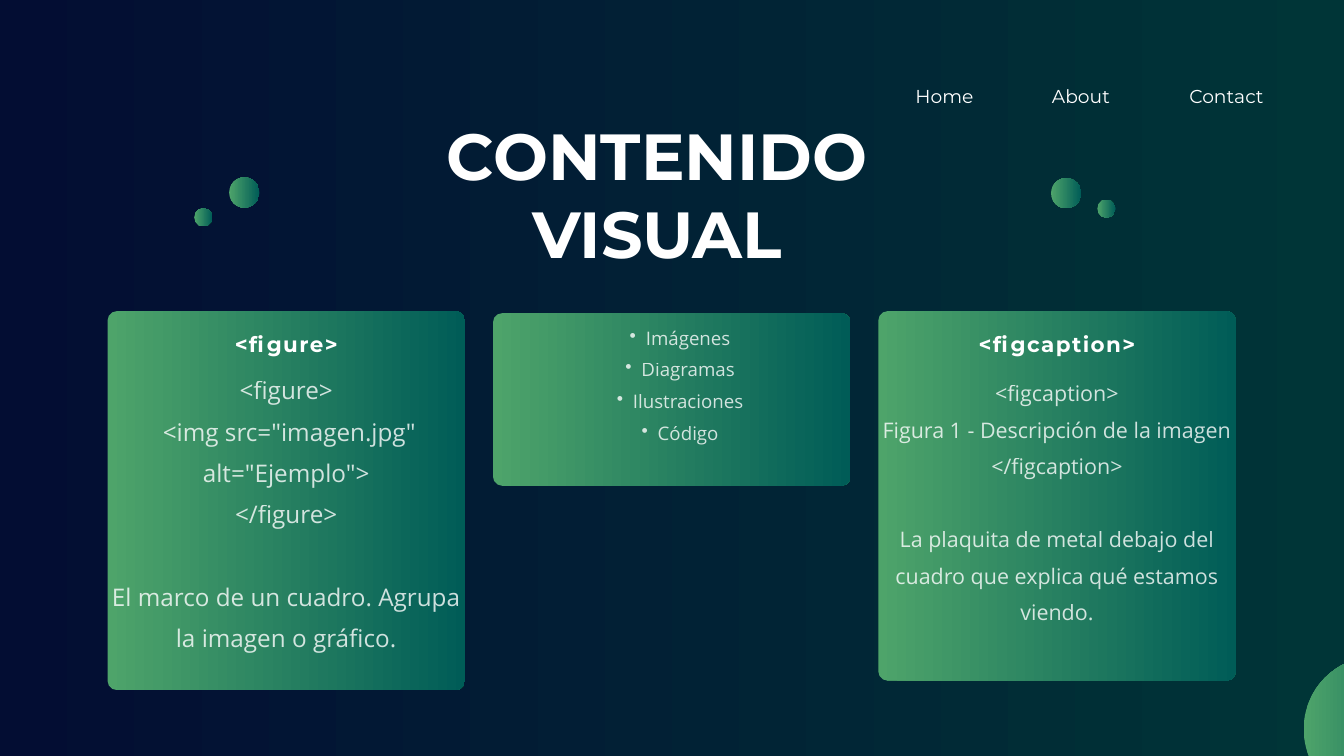
from lxml import etree
from pptx import Presentation
from pptx.dml.color import RGBColor
from pptx.enum import shapes, text
from pptx.oxml.ns import qn
from pptx.util import Inches, Pt

COLORS = {"navy": "030D33", "forest": "003537", "leaf": "4EA46A",
          "teal": "005C57", "white": "FFFFFF"}
HEAD_FONT, BODY_FONT = "Montserrat", "Open Sans"
LEADING = 1.7  # line pitch of body text, in text sizes
RADIUS = 0.14

MENU = [("Home", 13.55, 1.01), ("About", 15.58, 1.01), ("Contact", 17.62, 1.26)]
TITLE = ["CONTENIDO", "VISUAL"]
BULLETS = ["Imágenes", "Diagramas", "Ilustraciones", "Código"]
CARD_LEFT, CARD_WIDTH, CARD_STEP = 1.6, 5.32, 5.735
CARDS = [  # top, height
    (4.63, 5.64),
    (4.66, 2.57),
    (4.63, 5.5),
]
TAGS = [
    {"column": 0, "heading": "<figure>", "heading_width": 3.75,
     "top": 5.41, "height": 4.19, "size": 26,
     "code": ["<figure>", ' <img src="imagen.jpg" alt="Ejemplo">', "</figure>"],
     "note": "El marco de un cuadro. Agrupa la imagen o gráfico."},
    {"column": 2, "heading": "<figcaption>", "heading_width": 4.15,
     "top": 5.5, "height": 3.76, "size": 23,
     "code": ["<figcaption>", "Figura 1 - Descripción de la imagen", "</figcaption>"],
     "note": "La plaquita de metal debajo del cuadro que explica qué estamos viendo."},
]
DOTS = [  # left, top, diameter
    (2.89, 3.1, 0.27), (16.33, 2.97, 0.27), (3.41, 2.64, 0.45),
    (15.64, 2.65, 0.45), (19.4, 9.77, 2.16),
]


def rgb(name):
    return RGBColor.from_string(COLORS[name])


def fill_gradient(fill, start, end):
    fill.gradient()
    fill.gradient_angle = 0
    for stop, name in zip(fill.gradient_stops, (start, end)):
        stop.color.rgb = rgb(name)


def add_panel(page, kind, left, top, width, height):
    panel = page.shapes.add_shape(kind, *map(Inches, (left, top, width, height)))
    panel.shadow.inherit = False
    panel.line.fill.background()
    fill_gradient(panel.fill, "leaf", "teal")
    return panel


def add_bullet(para):
    para.level = 1
    props = para._p.get_or_add_pPr()
    props.set("marL", str(Inches(0.47)))
    props.set("indent", str(Inches(-0.24)))
    etree.SubElement(props, qn("a:buChar")).set("char", "•")


def add_text(page, lines, left, top, width, height, size, pitch,
             font=HEAD_FONT, bold=False, spacing=0, opacity=100, bullets=False):
    """Add centred lines of text, with pitch as exact line spacing in points."""
    box = page.shapes.add_textbox(*map(Inches, (left, top, width, height)))
    frame = box.text_frame
    frame.margin_left = frame.margin_right = frame.margin_top = frame.margin_bottom = 0
    frame.text = "\n".join(lines)
    frame.word_wrap = True
    frame.auto_size = text.MSO_AUTO_SIZE.SHAPE_TO_FIT_TEXT
    for para in frame.paragraphs:
        if bullets:
            add_bullet(para)
        para.alignment = text.PP_ALIGN.CENTER
        para.line_spacing = Pt(pitch)
        for span in para.runs:
            span.font.name = font
            span.font.size = Pt(size)
            span.font.bold = bold
            span.font.color.rgb = rgb("white")
            props = span._r.get_or_add_rPr()
            if spacing:
                props.set("spc", str(int(spacing * 100)))
            if opacity < 100:
                color = props.find(".//" + qn("a:srgbClr"))
                etree.SubElement(color, qn("a:alpha")).set("val", str(opacity * 1000))
    return frame


def add_body(page, lines, left, top, width, height, size, bullets=False):
    return add_text(page, lines, left, top, width, height, size, size * LEADING,
                    font=BODY_FONT, opacity=80, bullets=bullets)


def main():
    deck = Presentation()
    deck.slide_width, deck.slide_height = Inches(20), Inches(11.25)
    page = deck.slides.add_slide(deck.slide_layouts[6])
    fill_gradient(page.background.fill, "navy", "forest")

    for column, (top, height) in enumerate(CARDS):
        card = add_panel(page, shapes.MSO_SHAPE.ROUNDED_RECTANGLE,
                         CARD_LEFT + column * CARD_STEP, top, CARD_WIDTH, height)
        card.adjustments[0] = RADIUS / min(CARD_WIDTH, height)
    for left, top, diameter in DOTS:
        add_panel(page, shapes.MSO_SHAPE.OVAL, left, top, diameter, diameter)

    for label, left, width in MENU:
        add_text(page, [label], left, 1.21, width, 0.36, 20, 28)
    add_text(page, TITLE, 2.89, 1.72, 13.78, 2.31, 69.8, 83.8, bold=True)

    for tag in TAGS:
        left = CARD_LEFT + tag["column"] * CARD_STEP
        width = tag["heading_width"]
        add_text(page, [tag["heading"]], left + (CARD_WIDTH - width) / 2, 4.86,
                 width, 0.43, 23, 32.2, bold=True, spacing=1.5)
        body = add_body(page, tag["code"] + [tag["note"]], left, tag["top"],
                        CARD_WIDTH, tag["height"], tag["size"])
        body.paragraphs[-1].space_before = Pt(tag["size"] * LEADING)
    add_body(page, BULLETS, 7.93, 4.72, 4.15, 2.32, 20, bullets=True)

    deck.save("out.pptx")


if __name__ == "__main__":
    main()
